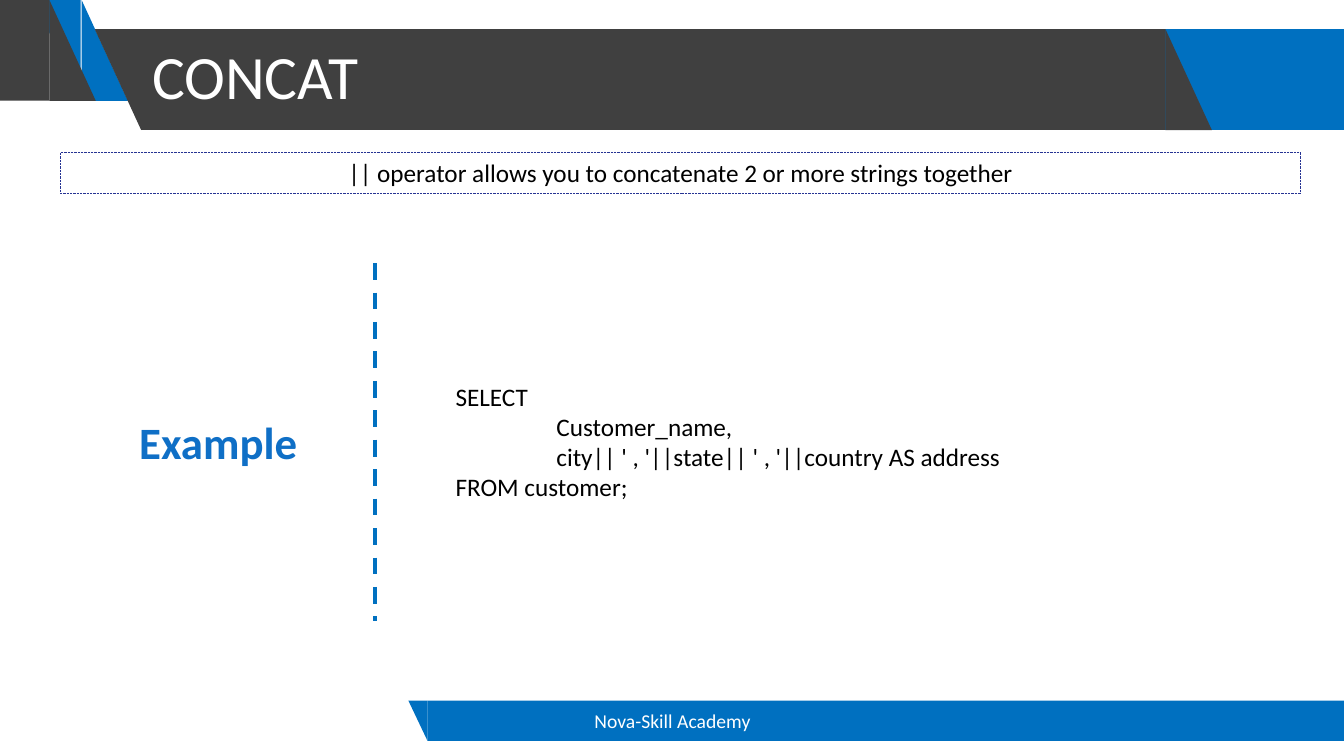
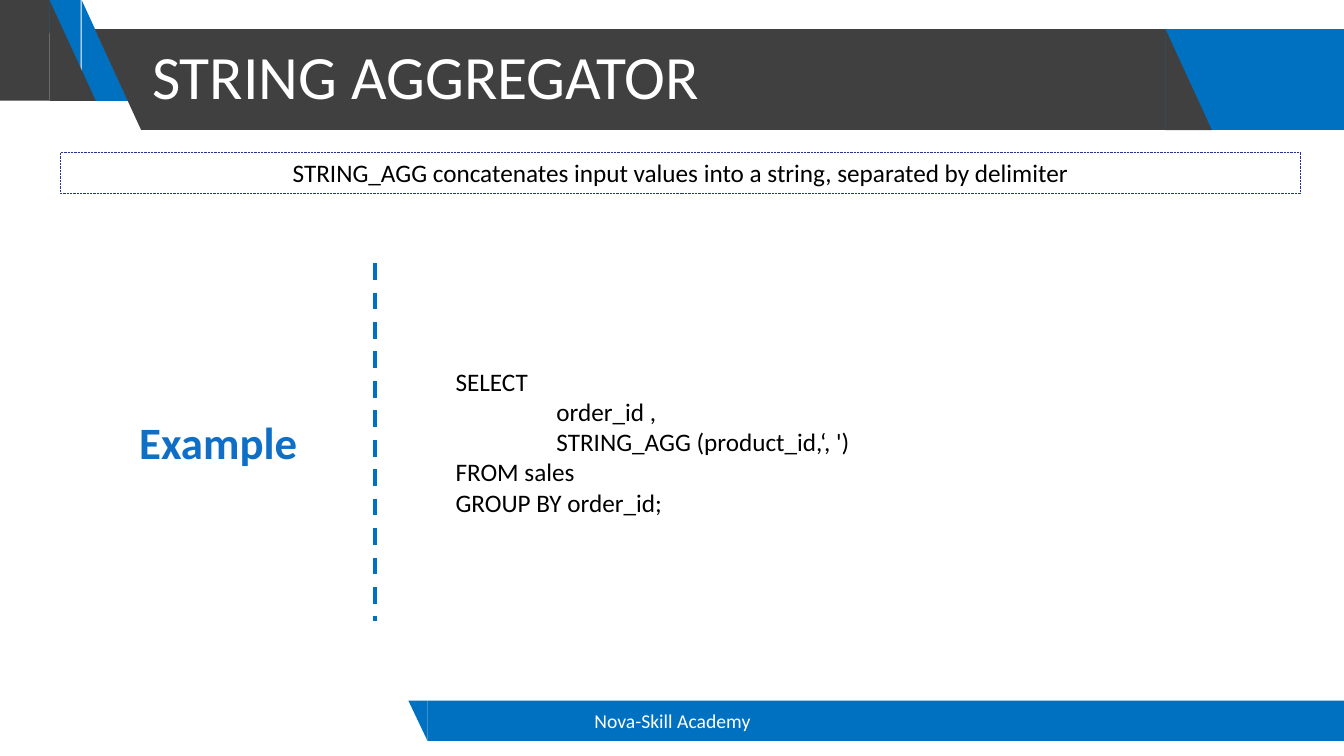
from pptx import Presentation
from pptx.dml.color import RGBColor
from pptx.enum import dml, shapes, text
from pptx.oxml.ns import qn
from pptx.util import Inches, Pt

COLORS = {
    "blue": "0070C0",
    "dark": "404040",
    "label": "0F6FC6",
    "border": "263393",
    "white": "FFFFFF",
    "black": "000000",
}
FONT = "Calibri"
FOOTER = "Nova-Skill Academy"
CODE_CENTER = 4.38
WIDTH, HEIGHT = 13.33, 7.5

RECT = shapes.MSO_SHAPE.RECTANGLE
WEDGE = shapes.MSO_SHAPE.RIGHT_TRIANGLE
SLANT = 0.46

# Band pieces, back to front: colour, preset, rotation, box in inches
BANDS = [
    ("blue", RECT, 0, (10.68, 0.29, 2.65, 1)),
    ("blue", WEDGE, 0, (0.81, 0, SLANT, 1)),
    ("blue", WEDGE, 180, (0.34, 0, SLANT, 1)),
    ("dark", RECT, 0, (0, 0, 0.49, 1)),
    ("dark", WEDGE, 0, (0.49, 0, SLANT, 1)),
    ("dark", WEDGE, 180, (0.94, 0.29, SLANT, 1)),
    ("dark", RECT, 0, (1.4, 0.29, 10.16, 1)),
    ("dark", WEDGE, 0, (11.56, 0.29, SLANT, 1)),
    ("blue", RECT, 0, (4.24, 6.95, 9.09, 0.4)),
    ("blue", WEDGE, 180, (4.05, 6.95, 0.19, 0.4)),
]

SLIDES = [
    (
        "CONCAT",
        "|| operator allows you to concatenate 2 or more strings together",
        [
            "SELECT",
            "\tCustomer_name,",
            "\tcity|| ' , '||state|| ' , '||country AS address",
            "FROM customer;",
        ],
    ),
    (
        "STRING AGGREGATOR",
        "STRING_AGG concatenates input values into a string, separated by delimiter",
        [
            "SELECT",
            "\torder_id ,",
            "\tSTRING_AGG (product_id,‘, ')",
            "FROM sales",
            "GROUP BY order_id;",
        ],
    ),
]


def rgb(name):
    return RGBColor.from_string(COLORS[name])


def add_text(s, box, lines, size, color="black", align="LEFT", bold=False):
    """Add a vertically centred text box; box is left, top, width, height in inches."""
    sp = s.shapes.add_textbox(*(Inches(v) for v in box))
    tf = sp.text_frame
    tf.word_wrap = True
    tf.vertical_anchor = text.MSO_ANCHOR.MIDDLE
    for i, line in enumerate(lines):
        p = tf.paragraphs[0] if i == 0 else tf.add_paragraph()
        p.text = line
        p.alignment = text.PP_ALIGN[align]
        if line.startswith("\t"):
            p_pr = p._p.get_or_add_pPr()
            tabs = p_pr.makeelement(qn("a:tabLst"), {})
            tabs.append(tabs.makeelement(qn("a:tab"), {"pos": str(Inches(1)), "algn": "l"}))
            p_pr.append(tabs)
        p.font.name = FONT
        p.font.size = Pt(size)
        p.font.bold = bold
        p.font.color.rgb = rgb(color)
    return sp


prs = Presentation()
prs.slide_width, prs.slide_height = Inches(WIDTH), Inches(HEIGHT)

for title, summary, code in SLIDES:
    s = prs.slides.add_slide(prs.slide_layouts[6])

    for color, preset, rotation, box in BANDS:
        band = s.shapes.add_shape(preset, *(Inches(v) for v in box))
        band.rotation = rotation
        band.shadow.inherit = False
        band.fill.solid()
        band.fill.fore_color.rgb = rgb(color)
        band.line.fill.background()

    heading = add_text(s, (1.41, 0.06, 10.14, 1.45), [title], 44, "white")
    heading.text_frame.paragraphs[0].line_spacing = 0.9
    add_text(s, (4.42, 6.95, 4.5, 0.4), [FOOTER], 14, "white", "CENTER")

    summary_box = add_text(s, (0.6, 1.51, 12.3, 0.41), [summary], 18, align="CENTER")
    summary_box.line.color.rgb = rgb("border")
    summary_box.line.width = Pt(0.5)
    summary_box.line.dash_style = dml.MSO_LINE.ROUND_DOT

    divider = s.shapes.add_connector(
        shapes.MSO_CONNECTOR.STRAIGHT,
        Inches(3.72), Inches(2.61), Inches(3.72), Inches(6.16),
    )
    divider.line.color.rgb = rgb("blue")
    divider.line.width = Pt(3)
    divider.line.dash_style = dml.MSO_LINE.DASH
    sp_pr = divider._element.spPr
    sp_pr.append(sp_pr.makeelement(qn("a:effectLst"), {}))

    code_height = 0.1 + 0.3 * len(code)
    add_text(s, (4.42, CODE_CENTER - code_height / 2, 8.26, code_height), code, 18)
    add_text(s, (0.46, 4.06, 3.41, 0.64), ["Example"], 32, "label", "CENTER", True)

prs.save("out.pptx")
